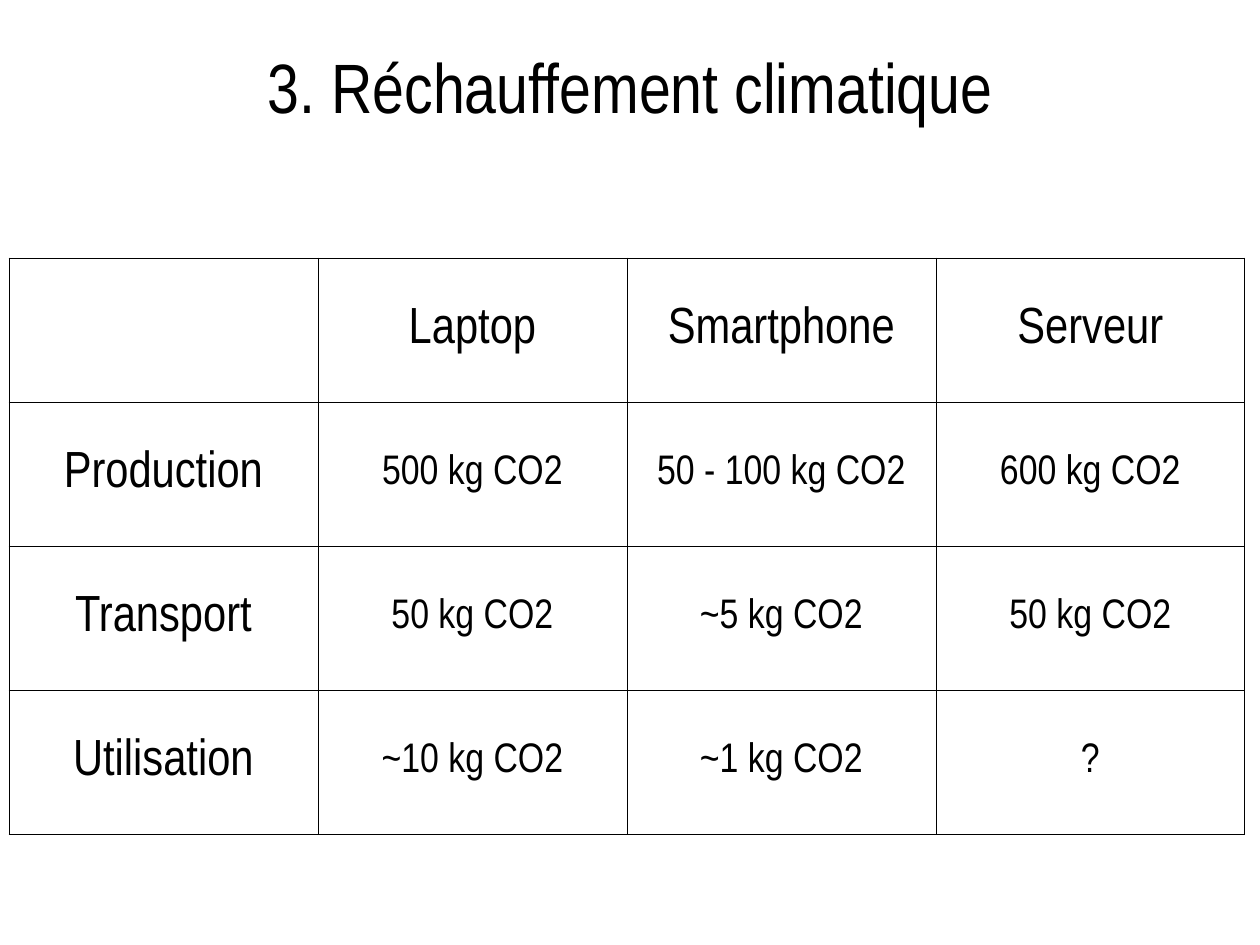
import pptx
import pptx.dml.color
import pptx.enum.text
import pptx.oxml
import pptx.oxml.ns
import pptx.util

# Content
TITLE = "3. Réchauffement climatique"
FOOTPRINT = [
    ("", "Laptop", "Smartphone", "Serveur"),
    ("Production", "500 kg CO2", "50 - 100 kg CO2", "600 kg CO2"),
    ("Transport", "50 kg CO2", "~5 kg CO2", "50 kg CO2"),
    ("Utilisation", "~10 kg CO2", "~1 kg CO2", "?"),
]

# Layout in px
SCALE = 8000
PAGE_SIZE = (1260, 945)
TITLE_BOX = (32, 9, 1197, 153)
TABLE_ORIGIN = (9, 258)
COLUMN_WIDTH, ROW_HEIGHT = 309, 144
CELL_MARGINS = {"margin_left": 11, "margin_right": 11,
                "margin_top": 6, "margin_bottom": 6}


class Theme:
    font = "Arial Narrow"
    ink = "000000"
    title_size = 44
    heading_size = 32
    value_size = 26
    border_width = 0.57


def px(length):
    return pptx.util.Emu(length * SCALE)


def apply_format(target, values):
    for name, value in values.items():
        setattr(target, name, value)


def write(frame, text, size):
    para = frame.paragraphs[0]
    para.alignment = pptx.enum.text.PP_ALIGN.CENTER
    span = para.add_run()
    span.text = text
    apply_format(span.font, {"name": Theme.font, "size": pptx.util.Pt(size),
                             "bold": False})
    span.font.color.rgb = pptx.dml.color.RGBColor.from_string(Theme.ink)


def add_borders(cell):
    properties = cell._tc.get_or_add_tcPr()
    width = pptx.util.Pt(Theme.border_width)
    namespace = pptx.oxml.ns.nsdecls("a")
    for position, side in enumerate("LRTB"):
        properties.insert(position, pptx.oxml.parse_xml(
            f'<a:ln{side} {namespace} w="{width}"><a:solidFill>'
            f'<a:srgbClr val="{Theme.ink}"/></a:solidFill></a:ln{side}>'))


def add_title(page):
    frame = page.shapes.add_textbox(*map(px, TITLE_BOX)).text_frame
    apply_format(frame, {
        "word_wrap": True,
        "vertical_anchor": pptx.enum.text.MSO_ANCHOR.MIDDLE,
        "margin_left": 0, "margin_right": 0,
        "margin_top": 0, "margin_bottom": 0,
    })
    write(frame, TITLE, Theme.title_size)


def add_footprint_table(page):
    row_count, column_count = len(FOOTPRINT), len(FOOTPRINT[0])
    table = page.shapes.add_table(
        row_count, column_count, *map(px, TABLE_ORIGIN),
        px(COLUMN_WIDTH * column_count), px(ROW_HEIGHT * row_count)).table
    apply_format(table, {"first_row": False, "horz_banding": False})
    cell_format = {name: px(value) for name, value in CELL_MARGINS.items()}
    cell_format["vertical_anchor"] = pptx.enum.text.MSO_ANCHOR.MIDDLE
    for row, texts in enumerate(FOOTPRINT):
        for column, text in enumerate(texts):
            cell = table.cell(row, column)
            apply_format(cell, cell_format)
            cell.fill.background()
            add_borders(cell)
            if text:
                is_heading = row == 0 or column == 0
                write(cell.text_frame, text,
                      Theme.heading_size if is_heading else Theme.value_size)


def main():
    deck = pptx.Presentation()
    deck.slide_width, deck.slide_height = map(px, PAGE_SIZE)
    page = deck.slides.add_slide(deck.slide_layouts[6])
    add_title(page)
    add_footprint_table(page)
    deck.save("out.pptx")


if __name__ == "__main__":
    main()
